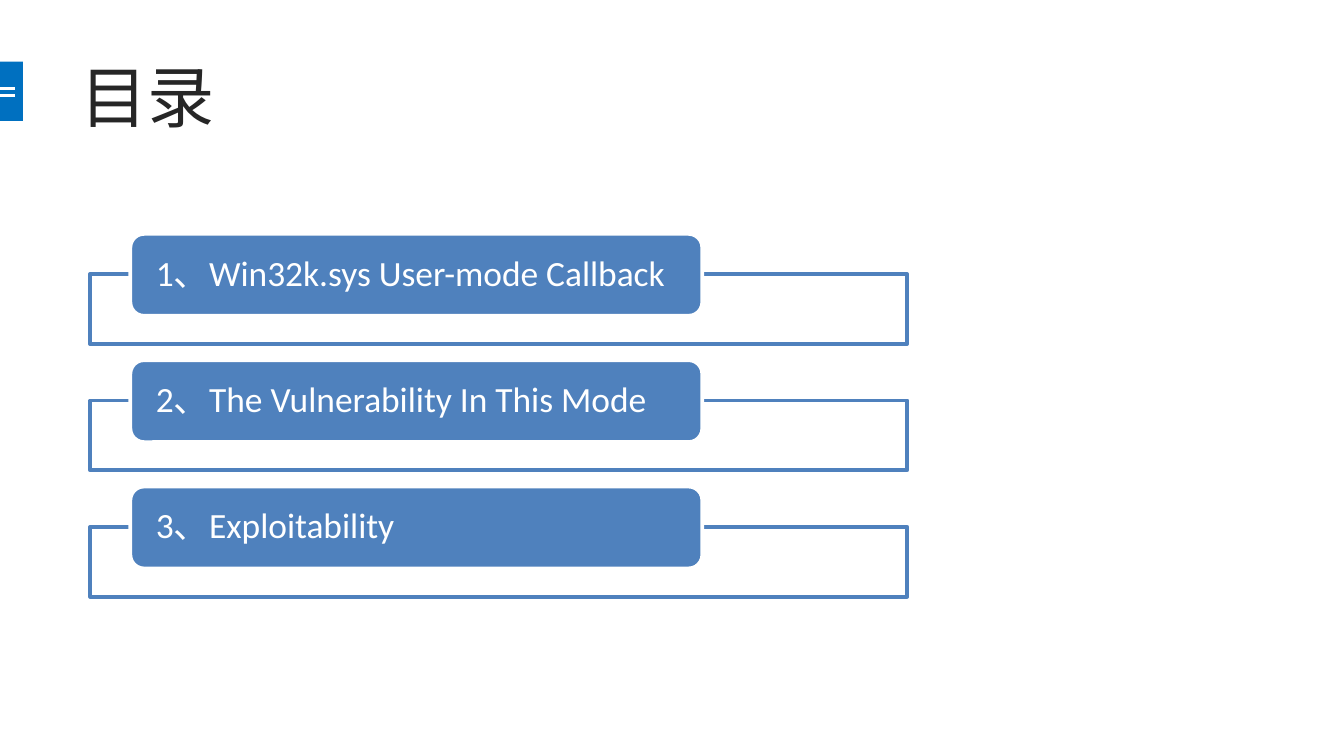
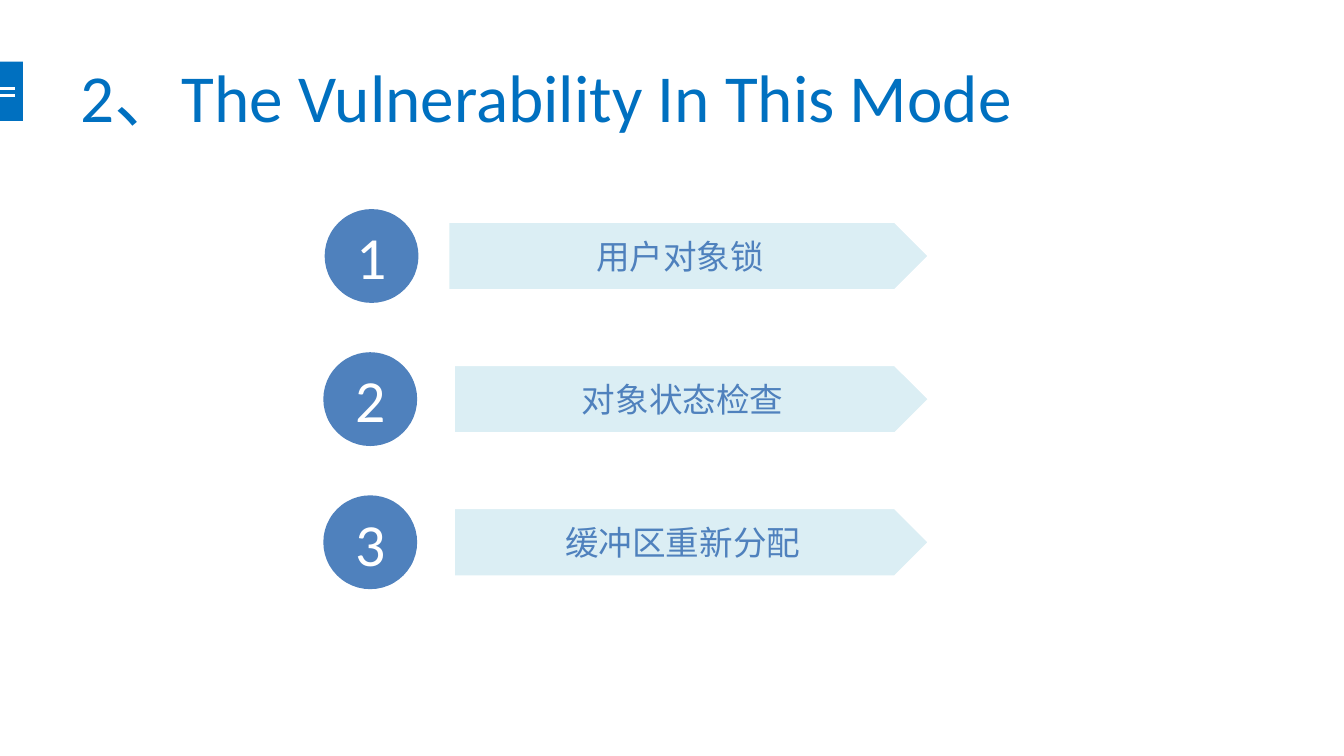
from dataclasses import dataclass

from lxml import etree
from pptx import Presentation
from pptx.dml.color import RGBColor
from pptx.enum import shapes, text
from pptx.oxml import ns
from pptx.util import Inches, Pt


@dataclass(frozen=True)
class Theme:
    """Colours, fonts and sizes shared by the slides."""
    accent: str = "0070C0"
    blue: str = "4F81BD"
    pale: str = "DBEEF4"
    dark: str = "262626"
    white: str = "FFFFFF"
    body_font: str = "Calibri"
    title_font: str = "Roboto Condensed"
    title_size: int = 36
    number_size: int = 32
    agenda_size: int = 19
    bar_size: int = 18
    outline: float = 2
    band_line: float = 1.5


T = Theme()
CHAPTERS = ["1、Win32k.sys User-mode Callback",
            "2、The Vulnerability In This Mode",
            "3、Exploitability"]
TOPICS = [("用户对象锁", 0.01, 0.91), ("对象状态检查", 0, 0.95),
          ("缓冲区重新分配", 0, 0.95)]


def rgb(value):
    """Turn a hex string into a colour."""
    return RGBColor.from_string(value)


def add_box(slide, kind, box, fill, line=None):
    """Add a flat preset shape at box, given in inches."""
    sp = slide.shapes.add_shape(kind, *map(Inches, box))
    sp.shadow.inherit = False
    sp.fill.solid()
    sp.fill.fore_color.rgb = rgb(fill)
    if line:
        sp.line.color.rgb = rgb(line)
        sp.line.width = Pt(T.outline)
    else:
        sp.line.fill.background()
    return sp


def set_text(sp, words, size, color, font=T.body_font,
             align=text.PP_ALIGN.CENTER, insets=(0.1, 0.05)):
    """Write one middle-anchored paragraph and return it."""
    tf = sp.text_frame
    tf.text = words
    tf.word_wrap = True
    tf.vertical_anchor = text.MSO_ANCHOR.MIDDLE
    tf.margin_left = tf.margin_right = Inches(insets[0])
    tf.margin_top = tf.margin_bottom = Inches(insets[1])
    p = tf.paragraphs[0]
    p.alignment = align
    r = p.runs[0]
    r.font.size = Pt(size)
    r.font.name = font
    r.font.color.rgb = rgb(color)
    return p


def add_band(slide, box):
    """Draw the edge tab with its two white lines."""
    x, y, w, h = box
    add_box(slide, shapes.MSO_SHAPE.RECTANGLE, box, T.accent)
    for dy in (0.2, 0.25):
        line = slide.shapes.add_connector(
            shapes.MSO_CONNECTOR.STRAIGHT,
            *map(Inches, (x, y + dy, x + 0.11, y + dy)))
        line.line.color.rgb = rgb(T.white)
        line.line.width = Pt(T.band_line)
        etree.SubElement(line._element.spPr, ns.qn("a:effectLst"))


def add_slide(prs, title, color, font):
    """Add a blank slide with the edge tab and a title."""
    slide = prs.slides.add_slide(prs.slide_layouts[6])
    add_band(slide, (0, 0.46, 0.17, 0.44))
    sp = slide.shapes.add_textbox(*map(Inches, (0.5, 0.48, 8.33, 0.46)))
    set_text(sp, title, T.title_size, color, font, text.PP_ALIGN.LEFT)
    return slide


def add_agenda(slide, box, chapters):
    """Stack outlined frames, each with a rounded chapter label."""
    x, y, w, h = box
    pitch = h / len(chapters)
    for i, chapter in enumerate(chapters):
        top = y + i * pitch
        frame = add_box(slide, shapes.MSO_SHAPE.RECTANGLE,
                        (x, top + 0.3, w, 0.52), T.white, T.blue)
        color = frame._element.spPr.find(".//" + ns.qn("a:srgbClr"))
        etree.SubElement(color, ns.qn("a:alpha"), val="90000")
        label = add_box(slide, shapes.MSO_SHAPE.ROUNDED_RECTANGLE,
                        (x + 0.3, top, w * 0.7, 0.61), T.blue, T.white)
        p = set_text(label, chapter, T.agenda_size, T.white,
                     align=text.PP_ALIGN.LEFT, insets=(0.16, 0))
        p.line_spacing = 0.9


def add_topics(slide, box, topics):
    """Stack numbered circles, each beside an arrow bar."""
    x, y, w, h = box
    size, bar_h = 0.67, 0.52
    pitch = (h - size) / (len(topics) - 1)
    for i, (topic, circle_dx, bar_dx) in enumerate(topics):
        top = y + i * pitch
        circle = add_box(slide, shapes.MSO_SHAPE.OVAL,
                         (x + circle_dx, top, size, size), T.blue, T.blue)
        set_text(circle, str(i + 1), T.number_size, T.white, insets=(0, 0))
        bar = add_box(slide, shapes.MSO_SHAPE.PENTAGON,
                      (x + bar_dx, top + (size - bar_h) / 2, w - bar_dx, bar_h),
                      T.pale, T.white)
        set_text(bar, topic, T.bar_size, T.blue)


def main():
    """Build both slides and save them."""
    prs = Presentation()
    prs.slide_width = Inches(10)
    prs.slide_height = prs.slide_width * 9 // 16
    agenda = add_slide(prs, "目录", T.dark, T.title_font)
    add_agenda(agenda, (0.67, 1.74, 6.08, 2.82), CHAPTERS)
    chapter = add_slide(prs, CHAPTERS[1], T.accent, T.body_font)
    add_topics(chapter, (2.42, 1.57, 4.5, 2.8), TOPICS)
    prs.save("out.pptx")


if __name__ == "__main__":
    main()
